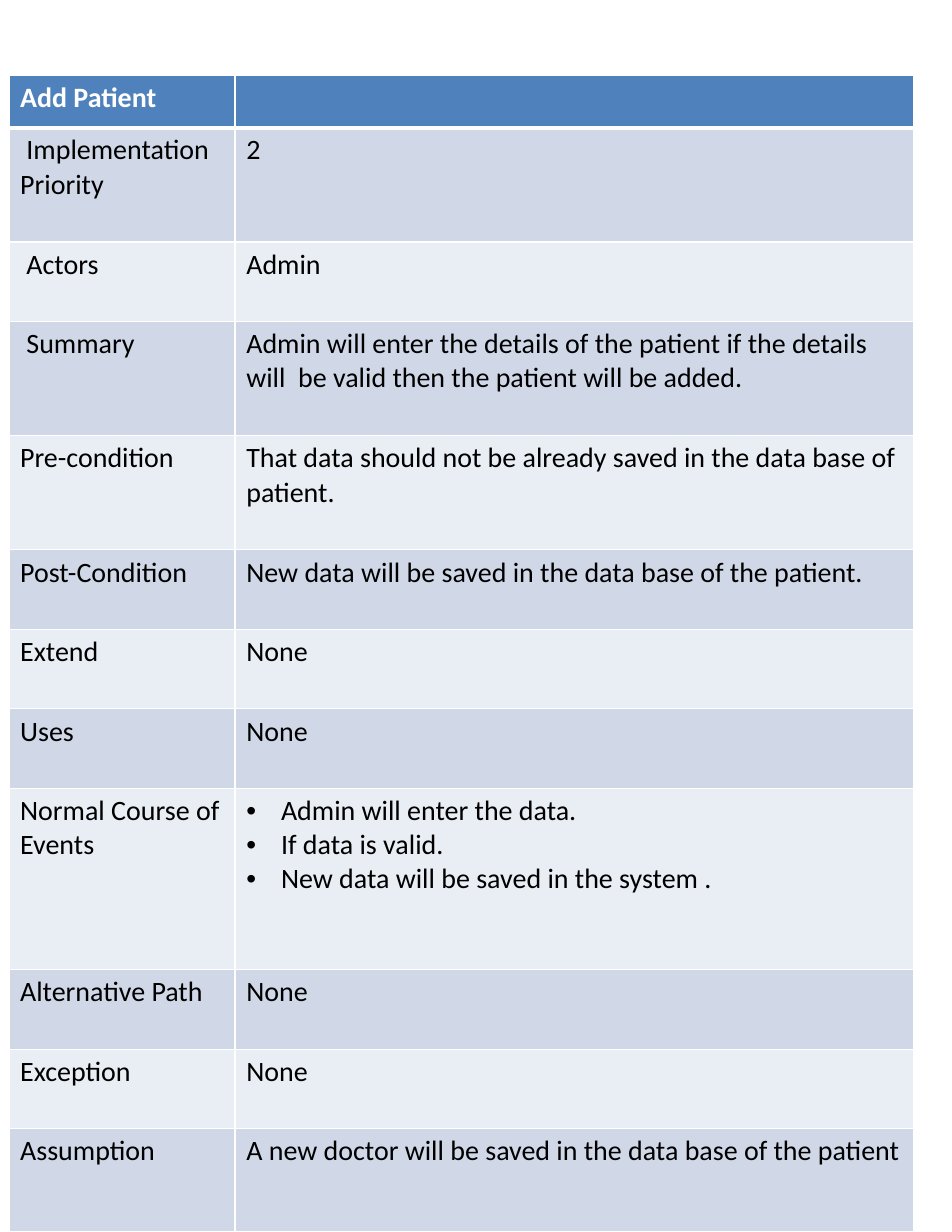
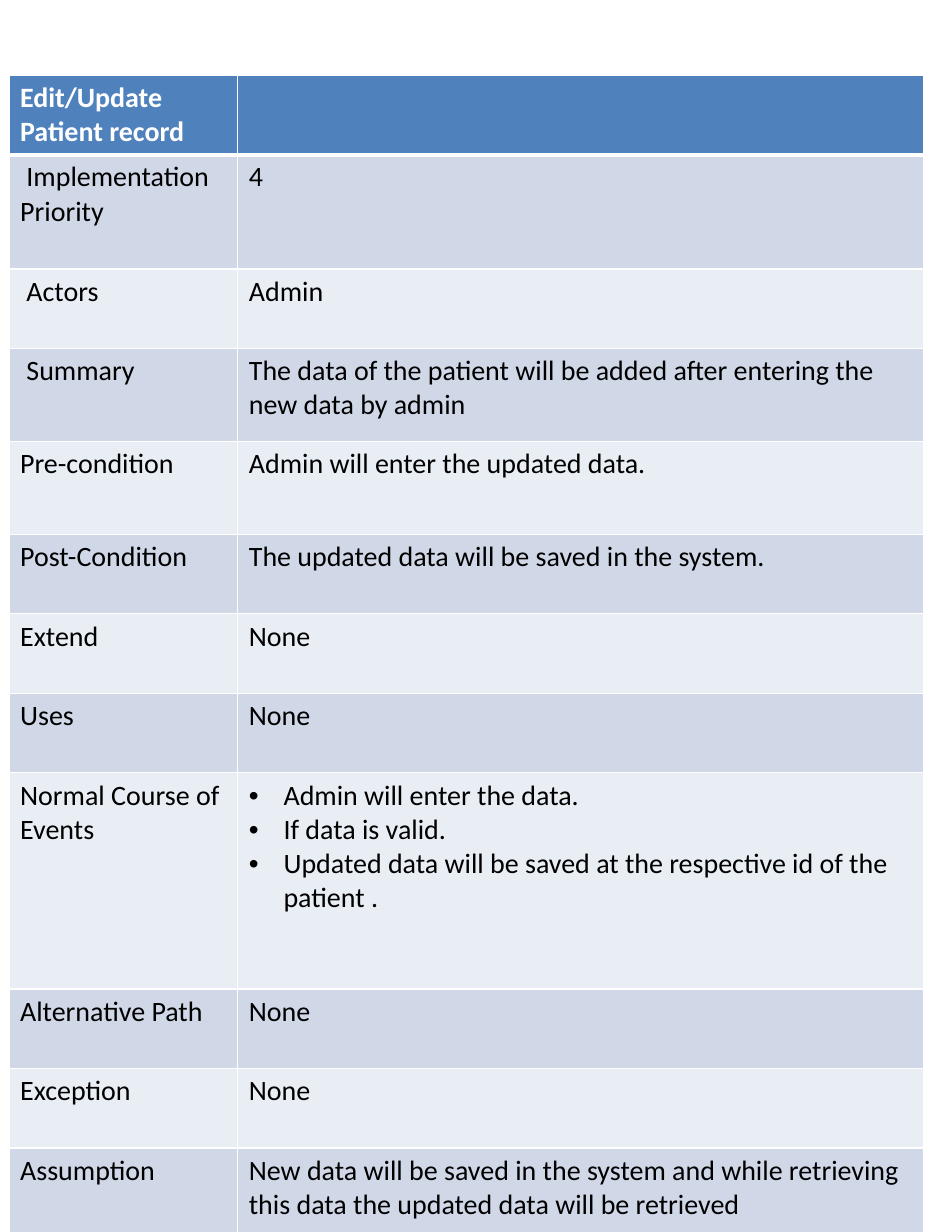
import pptx
import pptx.util
import pptx.dml.color
import pptx.oxml
import pptx.oxml.ns

COLORS = {
    "header": "4F81BD",
    "odd": "D0D8E8",
    "even": "E9EDF4",
    "rule": "FFFFFF",
    "header_text": "FFFFFF",
    "body_text": "000000",
}
FONT, SIZE = "Calibri", 18
SLIDE_WIDTH, SLIDE_HEIGHT = 8.5, 11
LEFT, TOP = 0.08, 0.67
LABEL_SHARE = 0.25
INDENT = 0.31
RULE, HEADER_RULE = 1, 3
SHORT, MEDIUM, TALL = 0.71, 0.83, 1.02

FIELDS = [
    " Implementation Priority", " Actors", " Summary", "Pre-condition",
    "Post-Condition", "Extend", "Uses", "Normal Course of Events",
    "Alternative Path", "Exception", "Assumption",
]

USE_CASES = [
    {
        "title": "Add Patient",
        "width": 8.08,
        "heights": [0.47, TALL, SHORT, TALL, TALL, SHORT, SHORT, SHORT, 1.62, SHORT, SHORT],
        "answers": [
            "2",
            "Admin",
            "Admin will enter the details of the patient if the details will  be valid then the patient will be added.",
            "That data should not be already saved in the data base of patient.",
            "New data will be saved in the data base of the patient.",
            "None",
            "None",
            ["Admin will enter the data.", "If data is valid.", "New data will be saved in the system ."],
            "None",
            "None",
            "A new doctor will be saved in the data base of the patient",
        ],
    },
    {
        "title": "Edit/Update Patient record",
        "width": 8.17,
        "heights": [0.7, TALL, SHORT, MEDIUM, MEDIUM, SHORT, SHORT, SHORT, 1.93, SHORT, SHORT],
        "answers": [
            "4",
            "Admin",
            "The data of the patient will be added after entering the new data by admin",
            "Admin will enter the updated data.",
            "The updated data will be saved in the system.",
            "None",
            "None",
            ["Admin will enter the data.", "If data is valid.",
             "Updated data will be saved at the respective id of the patient ."],
            "None",
            "None",
            "New data will be saved in the system and while retrieving this data the updated data will be retrieved",
        ],
    },
]


def rgb(name):
    return pptx.dml.color.RGBColor.from_string(COLORS[name])


def draw_borders(cell, widths):
    properties = cell._tc.get_or_add_tcPr()
    for position, (side, width) in enumerate(widths.items()):
        properties.insert(position, pptx.oxml.parse_xml(
            f'<a:ln{side} {pptx.oxml.ns.nsdecls("a")} w="{pptx.util.Pt(width)}">'
            f'<a:solidFill><a:srgbClr val="{COLORS["rule"]}"/></a:solidFill></a:ln{side}>'))


def add_bullet(paragraph):
    properties = paragraph._p.get_or_add_pPr()
    indent = pptx.util.Inches(INDENT)
    properties.set("marL", str(indent))
    properties.set("indent", str(-indent))
    for tag in ('buFont typeface="Arial"', 'buChar char="•"'):
        properties.append(pptx.oxml.parse_xml(f'<a:{tag} {pptx.oxml.ns.nsdecls("a")}/>'))


def write(cell, content, is_header):
    bulleted = isinstance(content, list)
    for index, line in enumerate(content if bulleted else [content]):
        frame = cell.text_frame
        paragraph = frame.add_paragraph() if index else frame.paragraphs[0]
        if bulleted:
            add_bullet(paragraph)
        if line:
            run = paragraph.add_run()
            run.text = line
            run.font.name = FONT
            run.font.size = pptx.util.Pt(SIZE)
            run.font.bold = is_header
            run.font.color.rgb = rgb("header_text" if is_header else "body_text")


def add_use_case(deck, use_case):
    slide = deck.slides.add_slide(deck.slide_layouts[6])
    rows = [(use_case["title"], ""), *zip(FIELDS, use_case["answers"])]
    last_height = SLIDE_HEIGHT - TOP - sum(use_case["heights"])
    heights = use_case["heights"] + [last_height]
    width = use_case["width"]
    table = slide.shapes.add_table(
        len(rows), 2, *map(pptx.util.Inches, (LEFT, TOP, width, sum(heights)))).table
    table.horz_banding = False
    for column, share in zip(table.columns, (LABEL_SHARE, 1 - LABEL_SHARE)):
        column.width = pptx.util.Inches(width * share)
    for number, (contents, height) in enumerate(zip(rows, heights)):
        table.rows[number].height = pptx.util.Inches(height)
        is_header = number == 0
        band = "header" if is_header else "odd" if number % 2 else "even"
        widths = {"L": RULE, "R": RULE,
                  "T": HEADER_RULE if number == 1 else RULE,
                  "B": HEADER_RULE if is_header else RULE}
        for cell, content in zip(table.rows[number].cells, contents):
            cell.fill.solid()
            cell.fill.fore_color.rgb = rgb(band)
            draw_borders(cell, widths)
            write(cell, content, is_header)


def main():
    deck = pptx.Presentation()
    deck.slide_width = pptx.util.Inches(SLIDE_WIDTH)
    deck.slide_height = pptx.util.Inches(SLIDE_HEIGHT)
    for use_case in USE_CASES:
        add_use_case(deck, use_case)
    deck.save("out.pptx")


if __name__ == "__main__":
    main()
